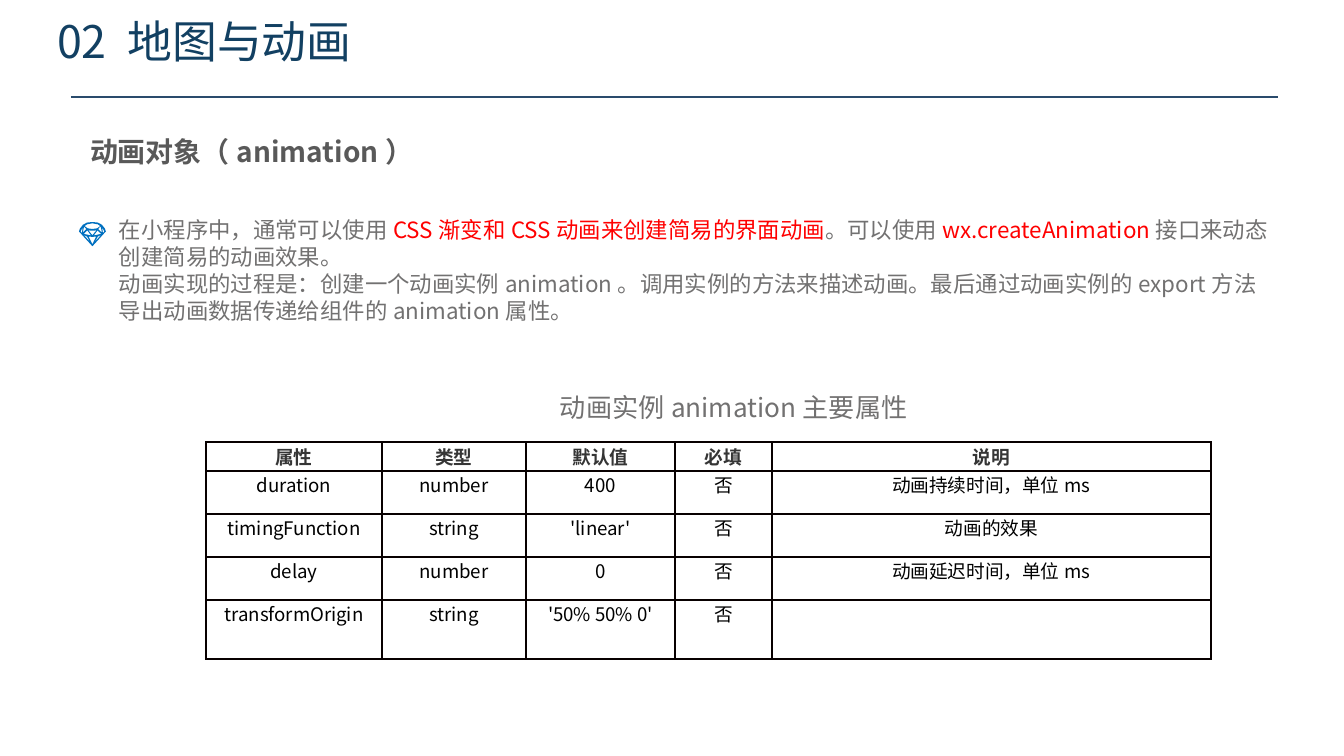
from lxml.etree import SubElement
from pptx import Presentation
from pptx.dml.color import RGBColor
from pptx.enum.shapes import MSO_CONNECTOR
from pptx.enum.text import MSO_ANCHOR, PP_ALIGN
from pptx.oxml.ns import qn
from pptx.util import Emu, Pt

PIXEL = 914400 / 134.4
FONT = "Noto Sans CJK SC"
NAVY = RGBColor(0x12, 0x40, 0x62)
RULE_BLUE = RGBColor(0x2A, 0x4B, 0x6C)
ICON_BLUE = RGBColor(0x00, 0x70, 0xC0)
DARK_GRAY = RGBColor(0x59, 0x59, 0x59)
GRAY = RGBColor(0x72, 0x71, 0x71)
HEADER_GRAY = RGBColor(0x35, 0x35, 0x35)
RED = RGBColor(0xFF, 0x00, 0x00)
BLACK = RGBColor(0x00, 0x00, 0x00)
BORDER_COLOR = "080000"

TITLE = {"size": Pt(24), "color": NAVY}
SUBTITLE = {"size": Pt(15), "color": DARK_GRAY, "bold": True}
BODY = {"size": Pt(12), "color": GRAY}
HIGHLIGHT = {"size": Pt(12), "color": RED}
CAPTION = {"size": Pt(14), "color": GRAY}
TABLE_HEADER = {"size": Pt(10), "color": HEADER_GRAY, "bold": True}
TABLE_BODY = {"size": Pt(10), "color": BLACK, "bold": False}

BODY_PARAGRAPHS = [
    [
        ("在小程序中，通常可以使用", BODY),
        ("CSS渐变和CSS动画来创建简易的界面动画", HIGHLIGHT),
        ("。可以使用", BODY),
        ("wx.createAnimation", HIGHLIGHT),
        ("接口来动态创建简易的动画效果。", BODY),
    ],
    [("动画实现的过程是：创建一个动画实例animation。调用实例的方法来描述动画。"
      "最后通过动画实例的export方法导出动画数据传递给组件的animation属性。", BODY)],
]

COLUMN_WIDTHS = [176, 144, 149, 97, 439]
ROW_HEIGHTS = [29, 43, 43, 43, 59]
PROPERTIES = [
    ["属性", "类型", "默认值", "必填", "说明"],
    ["duration", "number", "400", "否", "动画持续时间，单位ms"],
    ["timingFunction", "string", "'linear'", "否", "动画的效果"],
    ["delay", "number", "0", "否", "动画延迟时间，单位ms"],
    ["transformOrigin", "string", "'50% 50% 0'", "否", ""],
]

# Outline first, then the facets cut out of it, on a grid 200 wide
DIAMOND_CONTOURS = [
    [(170, 20), (140, 4), (100, 0), (60, 4), (30, 20), (8, 48), (0, 70),
     (100, 180), (200, 70), (192, 48)],
    [(158, 30), (135, 47), (100, 52), (65, 47), (42, 30), (60, 17), (100, 10), (140, 17)],
    [(172, 80), (142, 52), (160, 32)],
    [(38, 35), (55, 52), (28, 80)],
    [(130, 62), (100, 98), (70, 62), (100, 65)],
    [(62, 62), (90, 100), (35, 88)],
    [(110, 100), (138, 62), (165, 88)],
    [(100, 110), (128, 108), (100, 165), (72, 108)],
    [(188, 70), (178, 82), (172, 38)],
    [(28, 38), (22, 82), (12, 70)],
    [(35, 95), (60, 108), (85, 150)],
    [(115, 150), (140, 108), (165, 95)],
]


def px(length):
    return Emu(round(length * PIXEL))


def add_run(paragraph, text, style):
    run = paragraph.add_run()
    run.text = text
    run.font.name = FONT
    for name, value in style.items():
        if name == "color":
            run.font.color.rgb = value
        else:
            setattr(run.font, name, value)
    SubElement(run.font._element, qn("a:ea"), typeface=FONT)


def add_text(slide, box, paragraphs, side=13, top=7, line_spacing=1.0):
    """Place paragraphs, each a list of (text, style) runs."""
    frame = slide.shapes.add_textbox(*map(px, box)).text_frame
    settings = {"word_wrap": True, "vertical_anchor": MSO_ANCHOR.TOP,
                "margin_left": px(side), "margin_right": px(side),
                "margin_top": px(top), "margin_bottom": px(top)}
    for name, value in settings.items():
        setattr(frame, name, value)
    for index, runs in enumerate(paragraphs):
        paragraph = frame.add_paragraph() if index else frame.paragraphs[0]
        paragraph.line_spacing = line_spacing
        for text, style in runs:
            add_run(paragraph, text, style)


def add_header(slide, box):
    left, top, width, height = box
    add_text(slide, (left, top, width, height - 15), [[("02 地图与动画", TITLE)]],
             top=0, line_spacing=0.9)
    rule_y = px(top + height)
    rule = slide.shapes.add_connector(
        MSO_CONNECTOR.STRAIGHT, px(left + 27), rule_y, px(left + width), rule_y)
    rule.line.color.rgb = RULE_BLUE
    rule.line.width = Pt(1.25)
    SubElement(rule._element.spPr, qn("a:effectLst"))


def add_diamond(slide, box):
    left, top, width, _ = box
    first, *rest = DIAMOND_CONTOURS
    builder = slide.shapes.build_freeform(*first[0], scale=px(width) / 200)
    builder.add_line_segments(first[1:], close=True)
    for contour in rest:
        builder.move_to(*contour[0])
        builder.add_line_segments(contour[1:], close=True)
    diamond = builder.convert_to_shape(px(left), px(top))
    diamond.shadow.inherit = False
    diamond.fill.solid()
    diamond.fill.fore_color.rgb = ICON_BLUE
    diamond.line.fill.background()


def add_explanation(slide, box):
    left, top, width, height = box
    add_diamond(slide, (left, top + 13, 27, 24))
    add_text(slide, (left + 27, top, width - 27, height), BODY_PARAGRAPHS)


def add_borders(cell):
    properties = cell._tc.get_or_add_tcPr()
    for position, side in enumerate(("a:lnL", "a:lnR", "a:lnT", "a:lnB")):
        line = properties.makeelement(qn(side), {"w": str(Pt(1))})
        fill = SubElement(line, qn("a:solidFill"))
        SubElement(fill, qn("a:srgbClr"), val=BORDER_COLOR)
        properties.insert(position, line)


def add_property_table(slide, box):
    table = slide.shapes.add_table(
        len(ROW_HEIGHTS), len(COLUMN_WIDTHS), *map(px, box)).table
    table.first_row = table.horz_banding = False
    for column, width in zip(table.columns, COLUMN_WIDTHS):
        column.width = px(width)
    for row, height in zip(table.rows, ROW_HEIGHTS):
        row.height = px(height)
    for row_index, values in enumerate(PROPERTIES):
        style = TABLE_BODY if row_index else TABLE_HEADER
        settings = {"margin_left": px(10), "margin_right": px(10),
                    "margin_top": 0, "margin_bottom": 0,
                    "vertical_anchor": MSO_ANCHOR.TOP if row_index else MSO_ANCHOR.MIDDLE}
        for column_index, value in enumerate(values):
            cell = table.cell(row_index, column_index)
            for name, setting in settings.items():
                setattr(cell, name, setting)
            cell.fill.background()
            add_borders(cell)
            paragraph = cell.text_frame.paragraphs[0]
            paragraph.alignment = PP_ALIGN.CENTER
            if value:
                add_run(paragraph, value, style)


def main():
    presentation = Presentation()
    presentation.slide_width, presentation.slide_height = px(1344), px(756)
    slide = presentation.slides.add_slide(presentation.slide_layouts[6])
    add_header(slide, (44, 20, 1234, 77))
    add_text(slide, (80, 130, 353, 44), [[("动画对象（animation）", SUBTITLE)]],
             side=10, top=5)
    add_explanation(slide, (79, 209, 1204, 144))
    add_text(slide, (547, 384, 387, 46), [[("动画实例animation主要属性", CAPTION)]])
    add_property_table(slide, (206, 442, sum(COLUMN_WIDTHS), sum(ROW_HEIGHTS)))
    presentation.save("out.pptx")


if __name__ == "__main__":
    main()
